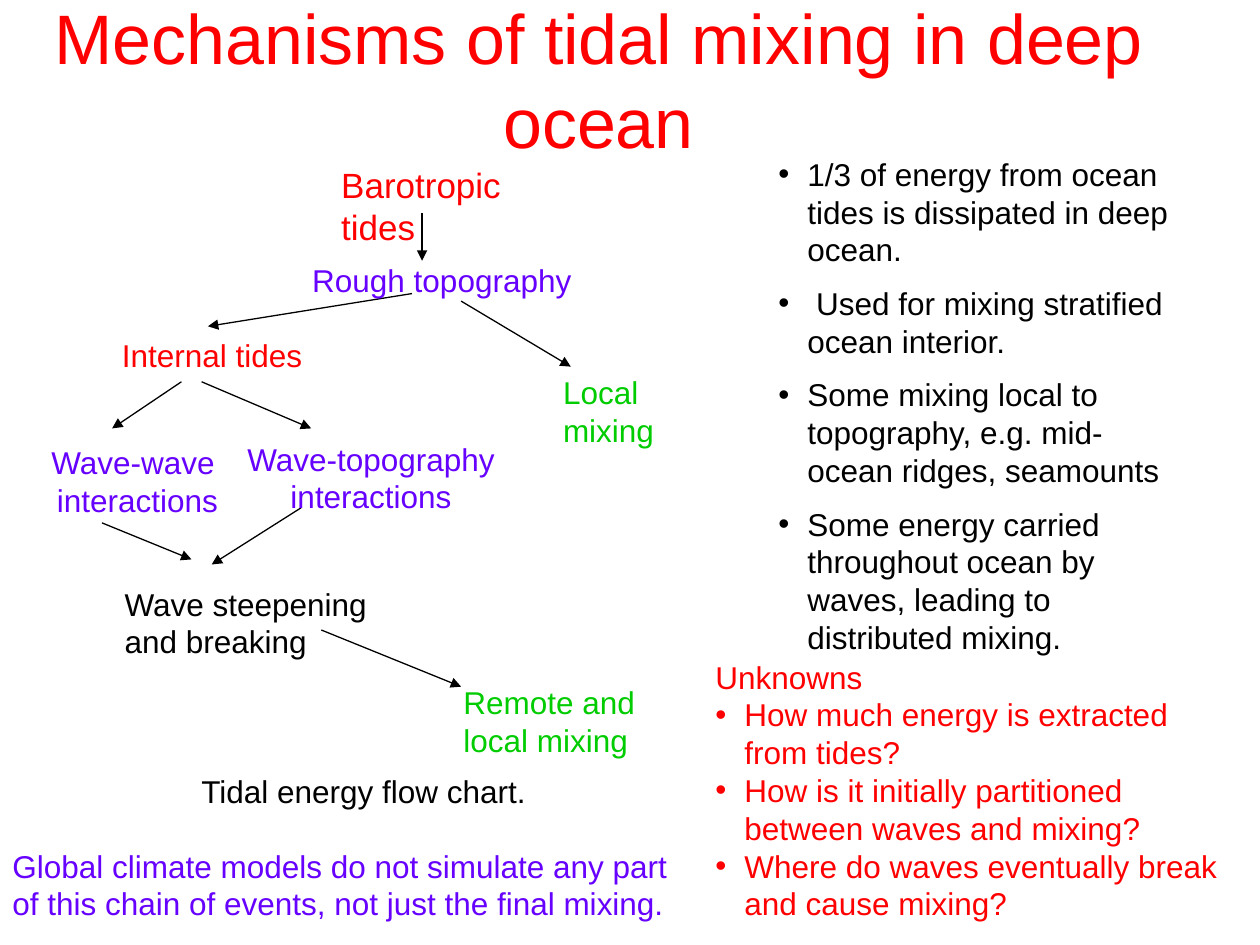
from lxml import etree
from pptx import Presentation
from pptx.dml.color import RGBColor
from pptx.enum.shapes import MSO_CONNECTOR as Conn
from pptx.enum.text import MSO_ANCHOR as Anchor, PP_ALIGN as Align
from pptx.oxml.ns import qn
from pptx.util import Inches, Pt

RED = RGBColor(0xFF, 0x00, 0x00)
VIOLET = RGBColor(0x66, 0x00, 0xFF)
GREEN = RGBColor(0x00, 0xCC, 0x00)
BLACK = RGBColor(0x00, 0x00, 0x00)
INDENT = Inches(0.23)

# Flow chart steps: text, left, top, width, height, colour, format
STEPS = [
    ("Barotropic tides", 2.61, 1.25, 2.13, 0.43, RED, {"size": 20}),
    ("Rough topography", 2.38, 2.02, 2.7, 0.4, VIOLET, {}),
    ("Internal tides", 0.87, 2.62, 1.63, 0.4, RED, {}),
    ("Local\nmixing", 4.37, 2.91, 0.92, 0.7, GREEN, {}),
    ("Wave-wave \ninteractions", 0.3, 3.47, 1.58, 0.7, VIOLET,
     {"align": Align.CENTER}),
    ("Wave-topography\ninteractions", 1.86, 3.44, 2.17, 0.7, VIOLET,
     {"align": Align.CENTER}),
    ("Wave steepening\nand breaking", 0.89, 4.59, 2.2, 0.7, BLACK, {}),
    ("Remote and\nlocal mixing", 3.58, 5.37, 1.63, 0.7, GREEN, {}),
]

# Arrows between steps: x and y of start, x and y of end
ARROWS = [
    (3.35, 1.69, 3.35, 2.07),
    (3.27, 2.33, 1.65, 2.59),
    (3.66, 2.39, 4.53, 2.91),
    (1.6, 3.03, 2.47, 3.4),
    (1.44, 3.03, 0.89, 3.4),
    (0.81, 4.15, 1.52, 4.44),
    (2.39, 4.03, 1.68, 4.48),
    (2.55, 5, 3.66, 5.45),
]

FACTS = [
    "1/3 of energy from ocean tides is dissipated in deep ocean.",
    " Used for mixing stratified ocean interior.",
    "Some mixing local to topography, e.g. mid-ocean ridges, seamounts",
    "Some energy carried throughout ocean by waves, leading to "
    "distributed mixing.",
]

UNKNOWNS = [
    "Unknowns",
    "How much energy is extracted from tides?",
    "How is it initially partitioned between waves and mixing?",
    "Where do waves eventually break and cause mixing?",
]


def add_bullet(para):
    props = para._p.get_or_add_pPr()
    props.set("marL", str(INDENT))
    props.set("indent", str(-INDENT))
    etree.SubElement(props, qn("a:buFont")).set("typeface", "Arial")
    etree.SubElement(props, qn("a:buChar")).set("char", "•")


def add_text(slide, lines, left, top, width, height, color, size=18,
             align=Align.LEFT, wrap=True, anchor=Anchor.TOP, first=None, gap=0):
    """Add a text box; lines from index first onward get bullets."""
    box = slide.shapes.add_textbox(
        Inches(left), Inches(top), Inches(width), Inches(height))
    frame = box.text_frame
    frame.word_wrap = wrap
    frame.vertical_anchor = anchor
    frame.text = "\n".join(lines)
    look = {"name": "Arial", "size": Pt(size)}
    for i, para in enumerate(frame.paragraphs):
        if first is not None and i >= first:
            add_bullet(para)
        para.alignment = align
        if gap and i:
            para.space_before = Pt(gap)
        font = para.runs[0].font
        for key, value in look.items():
            setattr(font, key, value)
        font.color.rgb = color


def add_arrow(slide, *ends):
    arrow = slide.shapes.add_connector(Conn.STRAIGHT, *map(Inches, ends))
    arrow.line.width = Pt(0.75)
    arrow.line.color.rgb = BLACK
    line = arrow.line._get_or_add_ln()
    etree.SubElement(line, qn("a:tailEnd")).set("type", "triangle")
    etree.SubElement(arrow._element.spPr, qn("a:effectLst"))


def main():
    deck = Presentation()
    deck.slide_width, deck.slide_height = Inches(10), Inches(7.5)
    slide = deck.slides.add_slide(deck.slide_layouts[6])

    # Title
    add_text(slide, ["Mechanisms of tidal mixing in deep ocean"],
             0.25, 0, 9, 1.25, RED, size=40, align=Align.CENTER,
             anchor=Anchor.MIDDLE)

    # Flow chart
    for ends in ARROWS:
        add_arrow(slide, *ends)
    for text, left, top, width, height, color, form in STEPS:
        add_text(slide, text.split("\n"), left, top, width, height, color,
                 wrap=False, **form)
    add_text(slide, ["Tidal energy flow chart."], 1.5, 6.08, 2.83, 0.4, BLACK)

    # Facts and open questions
    add_text(slide, FACTS, 6.08, 1.18, 3.42, 4.08, BLACK, first=0, gap=9)
    add_text(slide, UNKNOWNS, 5.58, 5.17, 4.18, 2.2, RED, first=1)

    # Closing remark
    add_text(slide, ["Global climate models do not simulate any part of this "
                     "chain of events, not just the final mixing."],
             0, 6.67, 5.58, 0.7, VIOLET)

    deck.save("out.pptx")


if __name__ == "__main__":
    main()
